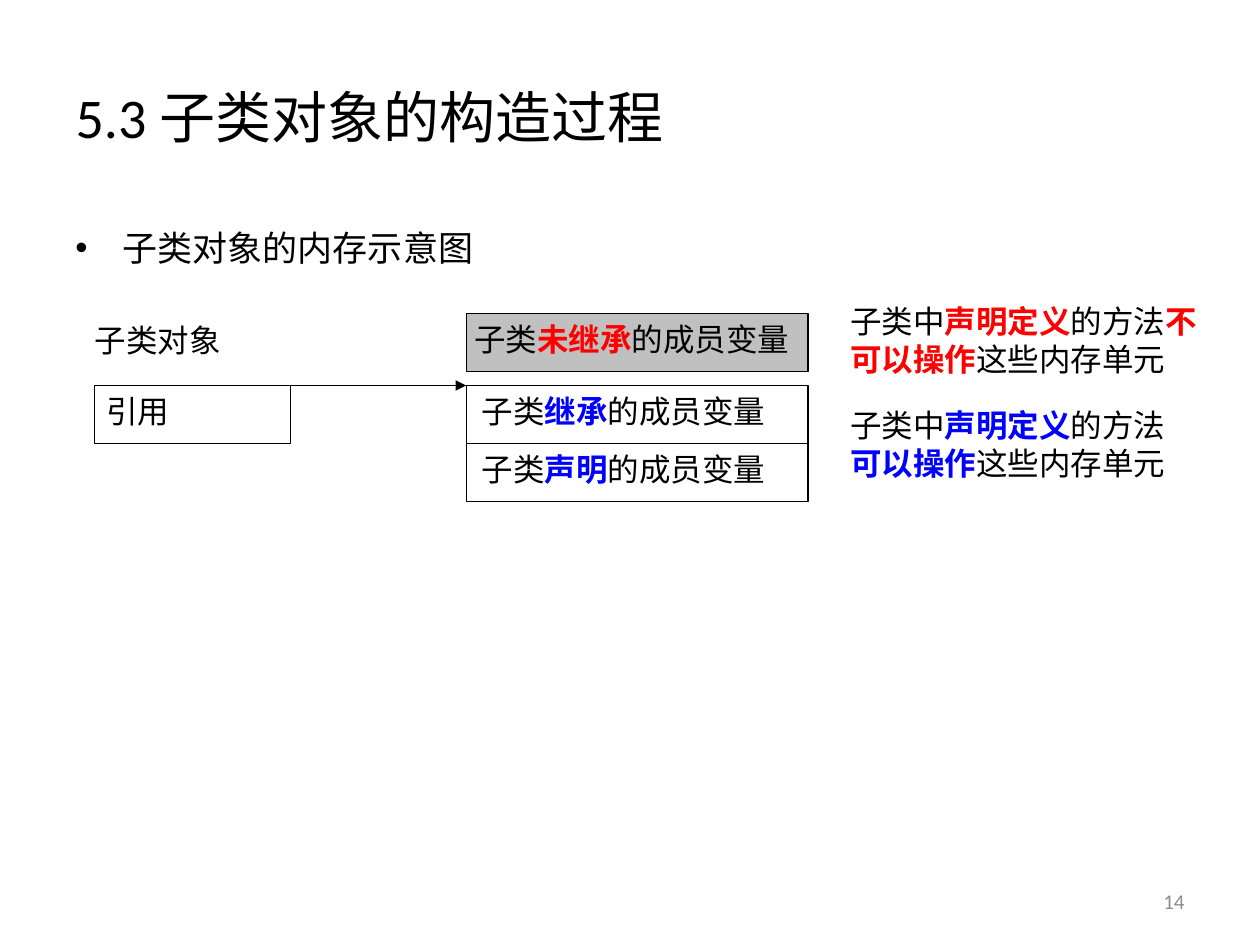
from lxml.etree import SubElement
from pptx import Presentation
from pptx.dml.color import RGBColor
from pptx.enum.shapes import MSO_CONNECTOR, MSO_SHAPE
from pptx.enum.text import MSO_ANCHOR, PP_ALIGN
from pptx.oxml.ns import qn
from pptx.util import Pt

BLACK, WHITE, RED, BLUE = "000000", "FFFFFF", "FF0000", "0000FF"
SILVER, GRAY = "C0C0C0", "8C8C8C"
SANS, SERIF = "Calibri", "Times New Roman"

TITLE = "5.3 子类对象的构造过程"
BULLET = "子类对象的内存示意图"
PAGE = "14"

# Memory diagram, in points
REF_X, REF_W, MEM_X, MEM_W = 54, 112.2, 266.4, 195.4
LABEL_Y, ROW_Y, ROW_H = 179.3, 220.3, 33.2
# text, box (left, top, width), fill, outlined, left inset, alignment
CELLS = [
    ([("子类", BLACK), ("未继承", RED), ("的成员变量", BLACK)],
     (MEM_X, LABEL_Y, MEM_W), SILVER, True, 4.5, PP_ALIGN.LEFT),
    ([("引用", BLACK)],
     (REF_X, ROW_Y, REF_W), WHITE, True, 6.75, PP_ALIGN.JUSTIFY),
    ([("子类对象", BLACK)],
     (REF_X, LABEL_Y + 0.7, 93), WHITE, False, 0, PP_ALIGN.JUSTIFY),
    ([("子类", BLACK), ("继承", BLUE), ("的成员变量", BLACK)],
     (MEM_X, ROW_Y, MEM_W), WHITE, True, 9, PP_ALIGN.LEFT),
    ([("子类", BLACK), ("声明", BLUE), ("的成员变量", BLACK)],
     (MEM_X, ROW_Y + ROW_H, MEM_W), WHITE, True, 9, PP_ALIGN.LEFT),
]
# accent colour, verb phrase, top, width
NOTES = [(RED, "不可以操作", 169.2, 229), (BLUE, "可以操作", 228.3, 202.3)]


def rgb(value):
    return RGBColor.from_string(value)


def write(shape, runs, size=18, font=SANS, align=PP_ALIGN.LEFT,
          anchor=MSO_ANCHOR.TOP, insets=(7.2, 7.2), bullet=False):
    """Fill a shape with one paragraph of (text, colour) runs; accents are bold."""
    tf = shape.text_frame
    tf.word_wrap = True
    tf.vertical_anchor = anchor
    tf.margin_left, tf.margin_right = map(Pt, insets)
    tf.margin_top = tf.margin_bottom = Pt(3.6)
    p = tf.paragraphs[0]
    p.alignment = align
    if bullet:
        pPr = p._p.get_or_add_pPr()
        pPr.set("marL", str(Pt(27)))
        pPr.set("indent", str(Pt(-27)))
        SubElement(pPr, qn("a:buFont"), typeface="Arial")
        SubElement(pPr, qn("a:buChar"), char="•")
    for text, color in runs:
        r = p.add_run()
        r.text = text
        r.font.name, r.font.size = font, Pt(size)
        r.font.bold = color in (RED, BLUE)
        r.font.color.rgb = rgb(color)


def add_text(s, box, runs, **style):
    write(s.shapes.add_textbox(*map(Pt, box)), runs, **style)


def add_cell(s, runs, box, fill, outlined, inset, align):
    sp = s.shapes.add_shape(MSO_SHAPE.RECTANGLE, *map(Pt, (*box, ROW_H)))
    sp.shadow.inherit = False
    sp.fill.solid()
    sp.fill.fore_color.rgb = rgb(fill)
    if outlined:
        sp.line.color.rgb = rgb(BLACK)
        sp.line.width = Pt(0.75)
    else:
        sp.line.fill.background()
    write(sp, runs, font=SERIF, align=align, insets=(inset, 0))


def add_arrow(s, x1, x2, y):
    line = s.shapes.add_connector(MSO_CONNECTOR.STRAIGHT, *map(Pt, (x1, y, x2, y)))
    line.line.color.rgb = rgb(BLACK)
    line.line.width = Pt(0.75)
    SubElement(line.line._get_or_add_ln(), qn("a:tailEnd"), type="triangle")
    SubElement(line._element.spPr, qn("a:effectLst"))


def main():
    prs = Presentation()
    prs.slide_width, prs.slide_height = Pt(720), Pt(540)
    s = prs.slides.add_slide(prs.slide_layouts[5])

    title = s.shapes.title
    title.left, title.top, title.width, title.height = map(Pt, (36, 21.6, 648, 90))
    write(title, [(TITLE, BLACK)], size=32, anchor=MSO_ANCHOR.MIDDLE)
    add_text(s, (36, 126, 648, 356.4), [(BULLET, BLACK)], size=20, bullet=True)

    for cell in CELLS:
        add_cell(s, *cell)
    add_arrow(s, REF_X + REF_W, MEM_X, ROW_Y)

    for accent, verb, top, width in NOTES:
        runs = [("子类中", BLACK), ("声明定义", accent), ("的方法", BLACK),
                (verb, accent), ("这些内存单元", BLACK)]
        add_text(s, (478.8, top, width, 51), runs)

    add_text(s, (516, 500.5, 168, 28.75), [(PAGE, GRAY)], size=12,
             align=PP_ALIGN.RIGHT, anchor=MSO_ANCHOR.MIDDLE)
    prs.save("out.pptx")


if __name__ == "__main__":
    main()
